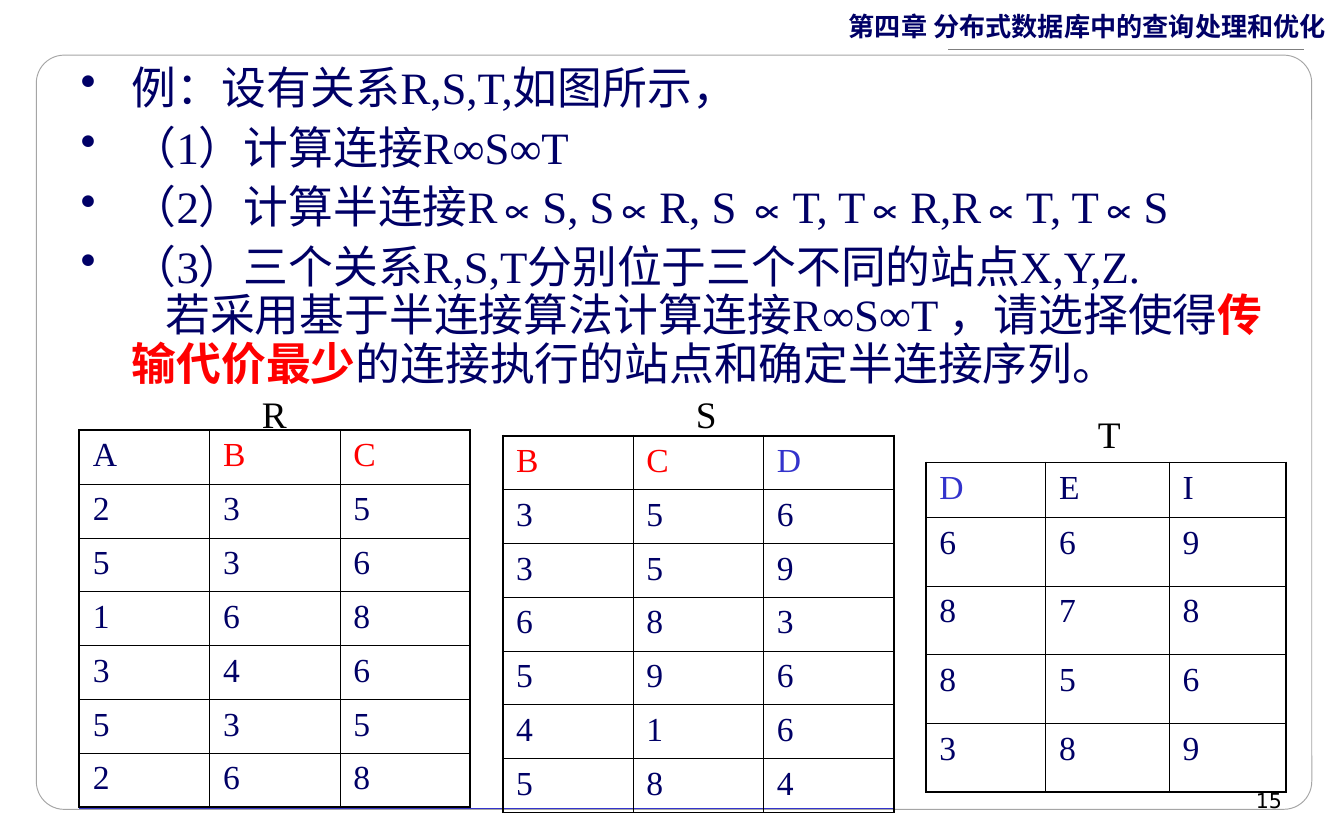
"""Build the slide with the semi-join exercise on the relations R, S and T."""
from typing import NamedTuple

from lxml import etree
from pptx import Presentation
from pptx import util as u
from pptx.dml.color import RGBColor
from pptx.enum import shapes, text
from pptx.oxml.ns import qn

NAVY = RGBColor(0x00, 0x00, 0x66)
RED = RGBColor(0xFF, 0x00, 0x00)
BLUE = RGBColor(0x33, 0x33, 0xCC)
BLACK = RGBColor(0x00, 0x00, 0x00)
WHITE = RGBColor(0xFF, 0xFF, 0xFF)
FRAME_GRAY = RGBColor(0xA5, 0xA5, 0xA5)
RULE_GRAY = RGBColor(0x7F, 0x7F, 0x7F)
SERIF = "Times New Roman"
CHINESE = "Noto Sans CJK SC"
HEADER_COLORS = {"B": RED, "C": RED, "D": BLUE}
THICK, THIN = 1.08, 0.45


class Box(NamedTuple):
    left: float
    top: float
    width: float
    height: float


class Style(NamedTuple):
    size: float
    font: str = SERIF
    color: RGBColor = NAVY
    bold: bool = False


class Rule(NamedTuple):
    start: float
    end: float
    top: float
    color: RGBColor
    width: float


class Relation(NamedTuple):
    name: str
    label: Box
    left: float
    top: float
    columns: list[float]
    header_height: float
    row_height: float
    rows: list[str]


class Item(NamedTuple):
    phrases: list[tuple[str, Style]]
    bullet: bool = True


BODY = Style(24)
EMPHASIS = Style(24, color=RED, bold=True)

RULES = [
    Rule(0.59, 6.66, 6.01, BLUE, 0.25),
    Rule(9.7, 7.05, 0.37, RULE_GRAY, 0.75),
]

ITEMS = [
    Item([("例：设有关系R,S,T,如图所示，", BODY)]),
    Item([("（1）计算连接R∞S∞T", BODY)]),
    Item([("（2）计算半连接R∝S, S∝R, S ∝T, T∝R,R∝T, T∝S", BODY)]),
    Item([("（3）三个关系R,S,T分别位于三个不同的站点X,Y,Z.", BODY)]),
    Item([
        ("若采用基于半连接算法计算连接R∞S∞T ，请选择使得", BODY),
        ("传输代价最少", EMPHASIS),
        ("的连接执行的站点和确定半连接序列。", BODY),
    ], bullet=False),
]

RELATIONS = [
    Relation("R", Box(1.85, 2.86, 1.42, 0.44), 0.59, 3.2, [0.97] * 3, 0.4, 0.4,
             ["ABC", "235", "536", "168", "346", "535", "268"]),
    Relation("S", Box(5.08, 2.86, 1.42, 0.44), 3.74, 3.24, [0.97] * 3, 0.4, 0.4,
             ["BCD", "356", "359", "683", "596", "416", "584"]),
    Relation("T", Box(8.07, 3.01, 1.42, 0.44), 6.89, 3.44, [0.89, 0.92, 0.87], 0.41, 0.51,
             ["DEI", "669", "878", "856", "389"]),
]


def inches(values) -> list[u.Length]:
    """Convert numbers to lengths."""
    return [u.Inches(value) for value in values]


def format_run(run, style: Style) -> None:
    """Apply a style to a run, with the Chinese face for East Asian text."""
    run.font.size = u.Pt(style.size)
    run.font.bold = style.bold
    run.font.color.rgb = style.color
    run.font.name = style.font
    etree.SubElement(run._r.get_or_add_rPr(), qn("a:ea"), typeface=CHINESE)


def add_frame_box(slide, box: Box, side_inset: float):
    """Add a wrapping text box and return its text frame."""
    frame = slide.shapes.add_textbox(*inches(box)).text_frame
    frame.word_wrap = True
    frame.margin_left = frame.margin_right = u.Inches(side_inset)
    return frame


def add_label(slide, words: str, box: Box, style: Style, side_inset: float = 0.09,
              align=text.PP_ALIGN.LEFT) -> None:
    """Add a one-line text."""
    frame = add_frame_box(slide, box, side_inset)
    frame.text = words
    paragraph = frame.paragraphs[0]
    paragraph.alignment = align
    format_run(paragraph.runs[0], style)


def add_panel(slide, box: Box) -> None:
    """Add the rounded, slightly transparent panel."""
    shape = slide.shapes.add_shape(shapes.MSO_SHAPE.ROUNDED_RECTANGLE, *inches(box))
    shape.adjustments[0] = 0.037
    shape.shadow.inherit = False
    shape.fill.solid()
    shape.fill.fore_color.rgb = WHITE
    color = shape._element.spPr.find(qn("a:solidFill"))[0]
    etree.SubElement(color, qn("a:alpha"), val="85000")
    shape.line.color.rgb = FRAME_GRAY
    shape.line.width = u.Pt(0.5)


def add_rule(slide, rule: Rule) -> None:
    """Add a horizontal line."""
    connector = slide.shapes.add_connector(
        shapes.MSO_CONNECTOR.STRAIGHT, *inches([rule.start, rule.top, rule.end, rule.top]))
    connector.line.color.rgb = rule.color
    connector.line.width = u.Pt(rule.width)
    etree.SubElement(connector._element.spPr, qn("a:effectLst"))


def set_bullet(properties) -> None:
    """Give paragraph properties a navy round bullet."""
    color = etree.SubElement(properties, qn("a:buClr"))
    etree.SubElement(color, qn("a:srgbClr"), val=str(NAVY))
    etree.SubElement(properties, qn("a:buChar"), char="•")


def add_body(slide, box: Box, items: list[Item]) -> None:
    """Add the exercise text."""
    frame = add_frame_box(slide, box, 0.09)
    for index, item in enumerate(items):
        paragraph = frame.add_paragraph() if index else frame.paragraphs[0]
        paragraph.line_spacing = 0.9
        paragraph.space_before = u.Pt(6 if index and item.bullet else 0)
        properties = paragraph._p.get_or_add_pPr()
        properties.set("marL", str(u.Inches(0.38)))
        properties.set("indent", str(u.Inches(-0.38 if item.bullet else 0.25)))
        if item.bullet:
            set_bullet(properties)
        for words, style in item.phrases:
            run = paragraph.add_run()
            run.text = words
            format_run(run, style)


def set_borders(cell, widths: dict[str, float]) -> None:
    """Draw black cell borders of the given widths."""
    properties = cell._tc.get_or_add_tcPr()
    for side, width in widths.items():
        line = etree.SubElement(properties, qn(f"a:ln{side}"), w=str(u.Pt(width)))
        fill = etree.SubElement(line, qn("a:solidFill"))
        etree.SubElement(fill, qn("a:srgbClr"), val=str(BLACK))


def add_relation(slide, relation: Relation) -> None:
    """Add the table of a relation."""
    last_row, last_column = len(relation.rows) - 1, len(relation.columns) - 1
    heights = [relation.header_height] + [relation.row_height] * last_row
    box = Box(relation.left, relation.top, sum(relation.columns), sum(heights))
    table = slide.shapes.add_table(last_row + 1, last_column + 1, *inches(box)).table
    table.first_row = table.horz_banding = False
    for column, width in zip(table.columns, inches(relation.columns)):
        column.width = width
    for row, height in zip(table.rows, inches(heights)):
        row.height = height
    for i, values in enumerate(relation.rows):
        for j, value in enumerate(values):
            cell = table.cell(i, j)
            cell.text = value
            color = HEADER_COLORS.get(value, NAVY)
            format_run(cell.text_frame.paragraphs[0].runs[0], Style(18, color=color))
            outer = {"L": j == 0, "R": j == last_column, "T": i == 0, "B": i == last_row}
            set_borders(cell, {side: THICK if edge else THIN for side, edge in outer.items()})
            cell.fill.background()


def main() -> None:
    """Build and save the presentation."""
    presentation = Presentation()
    presentation.slide_width, presentation.slide_height = inches([10, 6.24])
    slide = presentation.slides.add_slide(presentation.slide_layouts[6])
    add_panel(slide, Box(0.27, 0.41, 9.49, 5.61))
    for rule in RULES:
        add_rule(slide, rule)
    add_label(slide, "第四章 分布式数据库中的查询处理和优化", Box(6.1, 0.03, 3.86, 0.33),
              Style(14, CHINESE, bold=True), align=text.PP_ALIGN.RIGHT)
    add_label(slide, "15", Box(7.13, 5.81, 2.5, 0.28), Style(11, "DejaVu Sans", BLACK),
              align=text.PP_ALIGN.RIGHT)
    add_body(slide, Box(0.51, 0.44, 9.21, 2.68), ITEMS)
    for relation in RELATIONS:
        add_relation(slide, relation)
        add_label(slide, relation.name, relation.label, Style(20, color=BLACK), 0.1)
    presentation.save("out.pptx")


if __name__ == "__main__":
    main()
